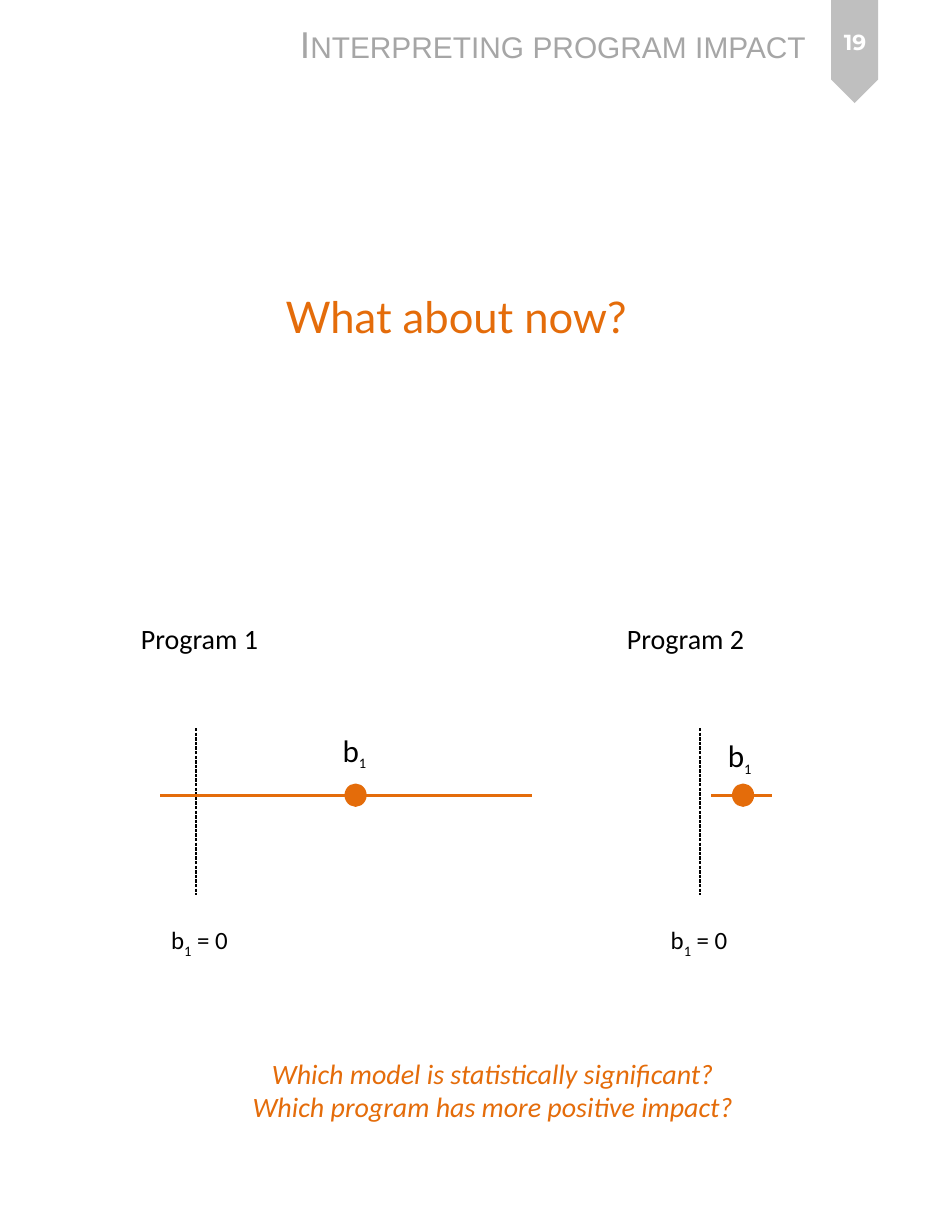
from lxml import etree
from pptx import Presentation
from pptx.dml.color import RGBColor
from pptx.enum.dml import MSO_LINE
from pptx.enum.shapes import MSO_CONNECTOR, MSO_SHAPE
from pptx.enum.text import MSO_ANCHOR, MSO_AUTO_SIZE, PP_ALIGN
from pptx.oxml.ns import qn
from pptx.util import Inches, Pt

STRAIGHT = MSO_CONNECTOR.STRAIGHT
PENTAGON, OVAL = MSO_SHAPE.PENTAGON, MSO_SHAPE.OVAL
TOP, MIDDLE = MSO_ANCHOR.TOP, MSO_ANCHOR.MIDDLE
LEFT, CENTER = PP_ALIGN.LEFT, PP_ALIGN.CENTER
FIT, NO_FIT = MSO_AUTO_SIZE.SHAPE_TO_FIT_TEXT, MSO_AUTO_SIZE.NONE
DASH = MSO_LINE.SQUARE_DOT

COLORS = {"orange": "E46C0A", "black": "000000", "white": "FFFFFF",
          "tab": "BFBFBF", "header": "A6A6A6"}

HEADER = "Interpreting program impact"
PAGE = "19"
TITLE = "What about now?"
QUESTIONS = ["Which model is statistically significant?",
             "Which program has more positive impact?"]

# x positions in inches: zero line, ends of the interval, left of the dot;
# then the left of the name and zero labels, and left and top of the estimate
PROGRAMS = [
    {"name": "Program 1", "zero": 1.75, "interval": (1.43, 4.75), "dot": 3.09,
     "name_x": 1.16, "zero_x": 1.43, "estimate_at": (2.96, 6.48)},
    {"name": "Program 2", "zero": 6.25, "interval": (6.35, 6.89), "dot": 6.55,
     "name_x": 5.5, "zero_x": 5.89, "estimate_at": (6.4, 6.53)},
]
AXIS_Y = 7.1
ZERO_TOP, ZERO_BOTTOM = 6.5, 7.99
DOT_W, DOT_H = 0.17, 0.18


def rgb(name):
    return RGBColor.from_string(COLORS[name])


def style(runs, size, font="Calibri", color="black", **flags):
    for r in runs:
        r.font.size, r.font.name = Pt(size), font
        r.font.color.rgb = rgb(color)
        for flag, value in flags.items():
            setattr(r.font, flag, value)


def add_text(slide, box, lines, size, align=LEFT, wrap=False, anchor=TOP,
             fit=FIT, **look):
    """Add a text box with one paragraph per line and return its runs."""
    tf = slide.shapes.add_textbox(*map(Inches, box)).text_frame
    tf.text = "\n".join(lines)
    tf.word_wrap, tf.vertical_anchor, tf.auto_size = wrap, anchor, fit
    for p in tf.paragraphs:
        p.alignment = align
    runs = [r for p in tf.paragraphs for r in p.runs]
    style(runs, size, **look)
    return runs


def add_coefficient(slide, box, size, sub_size, rest=""):
    """Add b with a subscript 1, followed by the rest."""
    tf = slide.shapes.add_textbox(*map(Inches, box)).text_frame
    tf.word_wrap, tf.auto_size = False, FIT
    p = tf.paragraphs[0]
    for text, points in (("b", size), ("1", sub_size), (rest, size)):
        if text:
            r = p.add_run()
            r.text = text
            style([r], points)
            if text == "1":
                r.font._element.set("baseline", "-25000")


def add_line(slide, start, end, color, width, dash=None):
    s = slide.shapes.add_connector(STRAIGHT, *map(Inches, start + end))
    s.line.color.rgb, s.line.width = rgb(color), Pt(width)
    if dash:
        s.line.dash_style = dash
    etree.SubElement(s._element.spPr, qn("a:effectLst"))


def add_solid(slide, kind, box, color, line_width=0):
    s = slide.shapes.add_shape(kind, *map(Inches, box))
    s.shadow.inherit = False
    s.fill.solid()
    s.fill.fore_color.rgb = rgb(color)
    if line_width:
        s.line.color.rgb, s.line.width = rgb(color), Pt(line_width)
    else:
        s.line.fill.background()
    return s


def add_program(slide, program):
    zero, (low, high) = program["zero"], program["interval"]
    add_text(slide, (program["name_x"], 5.5, 1.26, 0.4), [program["name"]], 18)
    add_line(slide, (zero, ZERO_TOP), (zero, ZERO_BOTTOM), "black", 0.75, DASH)
    add_line(slide, (low, AXIS_Y), (high, AXIS_Y), "orange", 2)
    add_solid(slide, OVAL, (program["dot"], AXIS_Y - DOT_H / 2, DOT_W, DOT_H),
              "orange", 2)
    add_coefficient(slide, program["estimate_at"] + (0.42, 0.44), 20, 16)
    add_coefficient(slide, (program["zero_x"], 8.21, 0.72, 0.37), 16, 16, " = 0")


def main():
    prs = Presentation()
    prs.slide_width, prs.slide_height = Inches(8.5), Inches(11)
    slide = prs.slides.add_slide(prs.slide_layouts[5])

    title = slide.shapes.title
    title.left, title.top = Inches(2.45), Inches(2.54)
    title.width, title.height = Inches(3.93), Inches(0.57)
    tf = title.text_frame
    tf.text = TITLE
    tf.word_wrap, tf.vertical_anchor, tf.auto_size = True, TOP, FIT
    tf.paragraphs[0].alignment = LEFT
    style(tf.paragraphs[0].runs, 28, "Lato", "orange")

    add_solid(slide, PENTAGON, (7.17, 0.25, 0.92, 0.42), "tab").rotation = 90
    header = add_text(slide, (2.58, 0.14, 4.96, 0.5), [HEADER], 24,
                      font="Arial", color="header")
    header[0].font._element.set("cap", "small")
    add_text(slide, (7.26, 0.08, 0.75, 0.59), [PAGE], 14, CENTER, True, MIDDLE,
             NO_FIT, font="Montserrat", color="white", bold=True)

    for program in PROGRAMS:
        add_program(slide, program)
    add_text(slide, (2.13, 9.38, 4.54, 0.71), QUESTIONS, 18, CENTER,
             color="orange", italic=True)
    prs.save("out.pptx")


if __name__ == "__main__":
    main()
